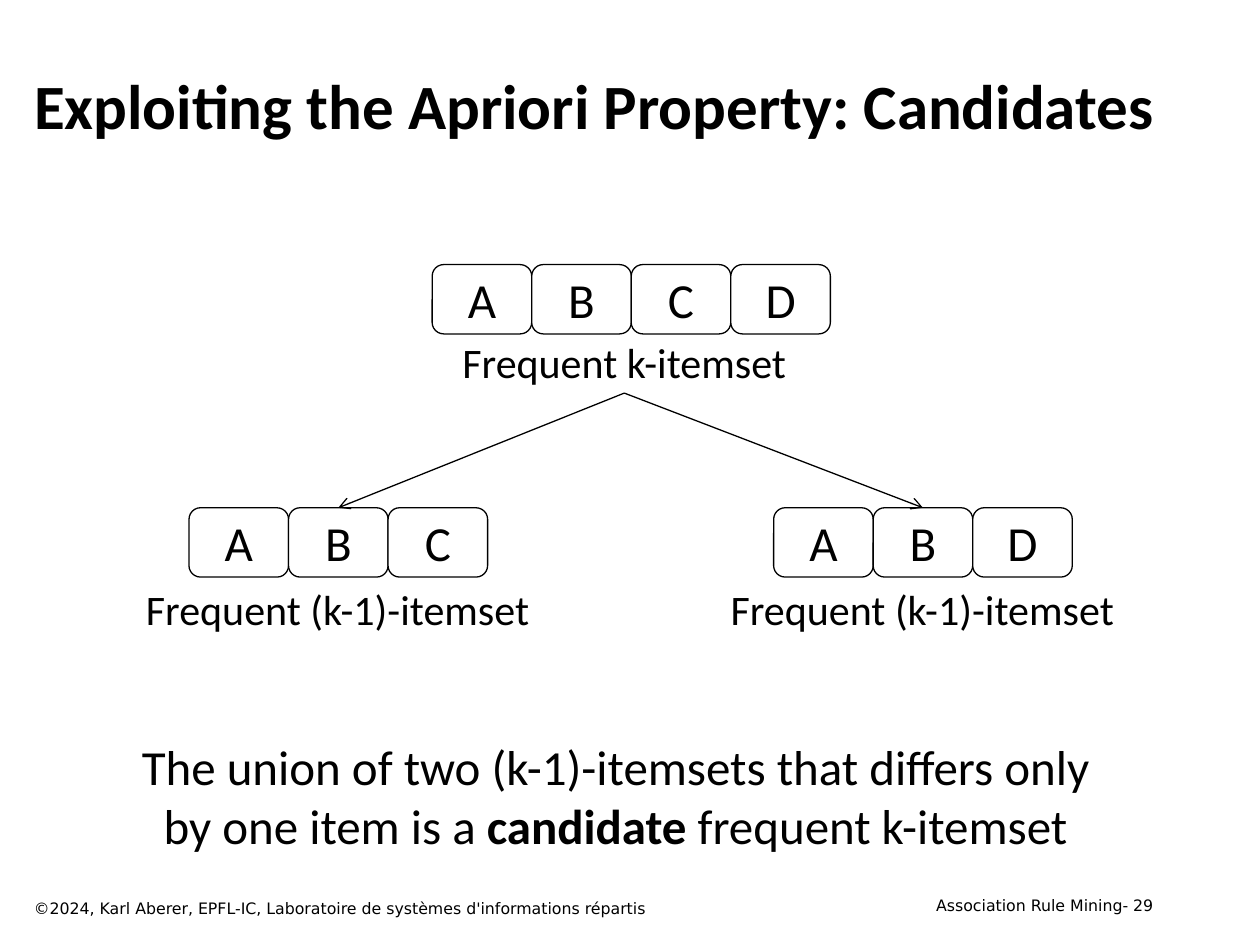
from lxml.etree import SubElement
from pptx import Presentation
from pptx.dml.color import RGBColor
from pptx.enum.shapes import MSO_CONNECTOR, MSO_SHAPE
from pptx.enum.text import MSO_ANCHOR, PP_ALIGN
from pptx.oxml.ns import qn
from pptx.util import Inches, Pt

CELL_W, CELL_H = 0.79, 0.55
BLACK, WHITE = "000000", "FFFFFF"
BODY = {"name": "Calibri", "size": Pt(28)}
LABEL = {"name": "Calibri", "size": Pt(24)}
TITLE = {"name": "Calibri", "size": Pt(36), "bold": True}
FOOTER = {"name": "DejaVu Sans", "size": Pt(9)}


def rgb(color):
    return RGBColor.from_string(color)


def write(sp, runs, fmt, align=PP_ALIGN.CENTER, anchor=MSO_ANCHOR.TOP):
    """Fill a shape with one paragraph of (text, bold) runs."""
    tf = sp.text_frame
    tf.word_wrap = True
    tf.vertical_anchor = anchor
    p = tf.paragraphs[0]
    p.alignment = align
    for text, bold in runs:
        r = p.add_run()
        r.text = text
        for key, value in {"bold": bold, **fmt}.items():
            setattr(r.font, key, value)
        r.font.color.rgb = rgb(BLACK)


def add_text(s, box, runs, fmt, align):
    sp = s.shapes.add_textbox(*map(Inches, box))
    write(sp, runs, fmt, align)


def add_box(s, kind, box, text, fmt, anchor, outlined):
    sp = s.shapes.add_shape(kind, *map(Inches, box))
    sp.shadow.inherit = False
    sp.fill.solid()
    sp.fill.fore_color.rgb = rgb(WHITE)
    if outlined:
        sp.line.color.rgb = rgb(BLACK)
        sp.line.width = Pt(0.75)
    else:
        sp.line.fill.background()
    write(sp, [(text, False)], fmt, anchor=anchor)
    return sp


def add_itemset(s, items, left, top, label, label_box):
    """Draw a caption and a row of touching item cells; return both."""
    caption = add_box(s, MSO_SHAPE.RECTANGLE, label_box, label, LABEL,
                      MSO_ANCHOR.TOP, False)
    cells = [add_box(s, MSO_SHAPE.ROUNDED_RECTANGLE,
                     (left + i * CELL_W, top, CELL_W, CELL_H), item, BODY,
                     MSO_ANCHOR.MIDDLE, True)
             for i, item in enumerate(items)]
    return caption, cells


def add_arrow(s, start, end):
    """Join the bottom of one shape to the top of another."""
    line = s.shapes.add_connector(MSO_CONNECTOR.STRAIGHT, 0, 0, 0, 0)
    line.begin_connect(start, 2)
    line.end_connect(end, 0)
    line.line.color.rgb = rgb(BLACK)
    line.line.width = Pt(0.75)
    SubElement(line.line._get_or_add_ln(), qn("a:tailEnd"), type="arrow")
    SubElement(line._element.spPr, qn("a:effectLst"))


def main():
    prs = Presentation()
    prs.slide_width, prs.slide_height = Inches(10), Inches(7.5)
    s = prs.slides.add_slide(prs.slide_layouts[5])

    # Title
    title = s.shapes.title
    title.left, title.top, title.width, title.height = map(
        Inches, (0.17, 0.33, 9.24, 1))
    write(title, [("Exploiting the Apriori Property: Candidates", True)],
          TITLE, PP_ALIGN.LEFT, MSO_ANCHOR.MIDDLE)

    # The k-itemset and the two smaller itemsets below it
    caption, _ = add_itemset(s, "ABCD", 3.43, 2.1, "Frequent k-itemset",
                             (3.5, 2.62, 2.91, 0.5))
    for items, left in (("ABC", 1.5), ("ABD", 6.14)):
        _, cells = add_itemset(s, items, left, 4.03, "Frequent (k-1)-itemset",
                               (left - 0.59, 4.58, 3.54, 0.5))
        add_arrow(s, caption, cells[1])

    # Conclusion
    add_text(s, (0.83, 5.8, 8.11, 1.04),
             [("The union of two (k-1)-itemsets that differs only by one item is a ", False),
              ("candidate ", True), ("frequent k-itemset", False)],
             BODY, PP_ALIGN.CENTER)

    # Footer
    add_text(s, (0.17, 7.08, 6.42, 0.25),
             [("©2024, Karl Aberer, EPFL-IC, Laboratoire de systèmes d'informations répartis", False)],
             FOOTER, PP_ALIGN.LEFT)
    add_text(s, (7.17, 7.06, 2.08, 0.25),
             [("Association Rule Mining- 29", False)], FOOTER, PP_ALIGN.RIGHT)

    prs.save("out.pptx")


if __name__ == "__main__":
    main()
